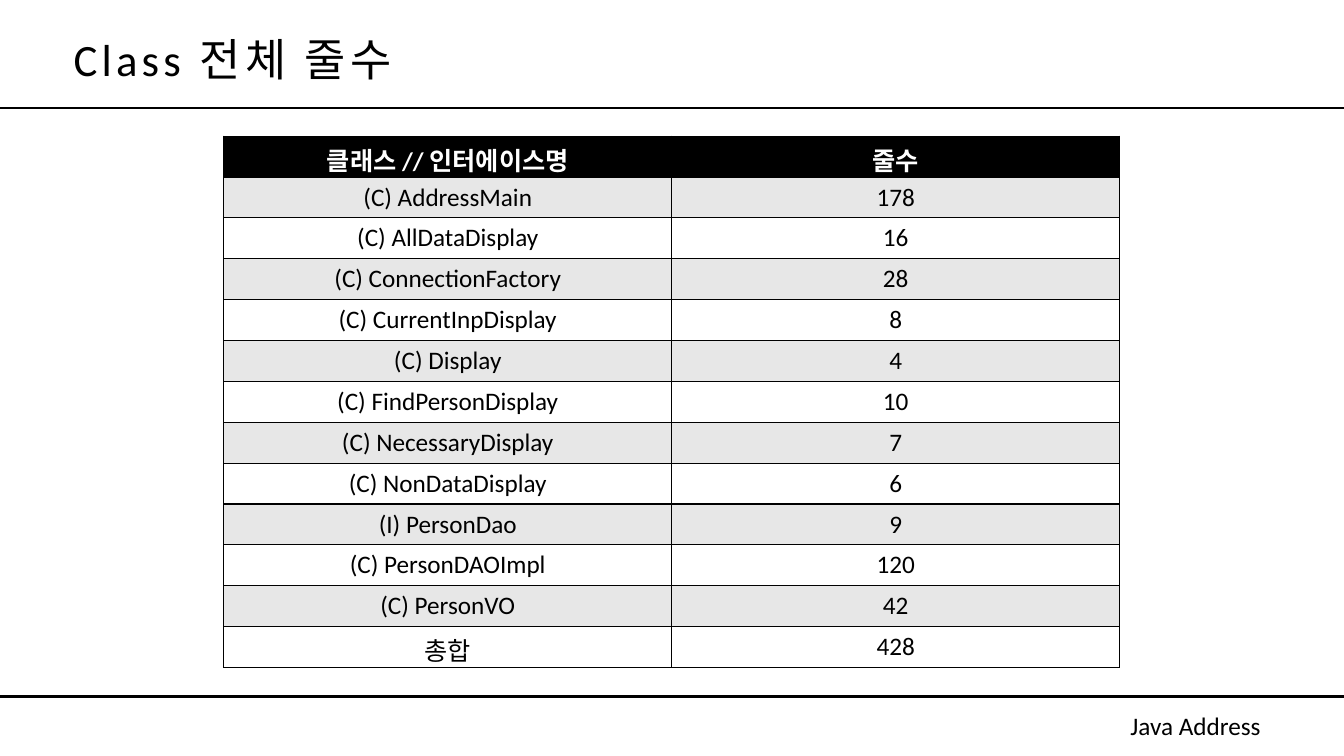
from dataclasses import dataclass

import lxml.etree
import pptx
import pptx.dml.color
import pptx.enum.shapes
import pptx.enum.text
import pptx.oxml.ns
import pptx.util

Cm = pptx.util.Cm
Pt = pptx.util.Pt
RGB = pptx.dml.color.RGBColor
ALIGN = pptx.enum.text.PP_ALIGN
qn = pptx.oxml.ns.qn


@dataclass(frozen=True)
class Theme:
    """Colours, font and type sizes of the slide."""
    font: str = "Calibri"
    ink: str = "000000"
    paper: str = "FFFFFF"
    band: str = "E7E7E7"
    title: int = 32
    body: int = 18
    rule: float = 1.5
    border: int = 1


THEME = Theme()
HEADER = ("클래스 // 인터에이스명", "줄수")
LINE_COUNTS = [
    ("(C) AddressMain", 178),
    ("(C) AllDataDisplay", 16),
    ("(C) ConnectionFactory", 28),
    ("(C) CurrentInpDisplay", 8),
    ("(C) Display", 4),
    ("(C) FindPersonDisplay", 10),
    ("(C) NecessaryDisplay", 7),
    ("(C) NonDataDisplay", 6),
    ("(I) PersonDao", 9),
    ("(C) PersonDAOImpl", 120),
    ("(C) PersonVO", 42),
]


def add_run(p, text, size, color, bold=False):
    """Add one formatted run to a paragraph and return it."""
    r = p.add_run()
    r.text = text
    r.font.name = THEME.font
    r.font.size = Pt(size)
    r.font.bold = bold
    r.font.color.rgb = RGB.from_string(color)
    return r


def add_rule(s, x, y, w):
    """Draw a horizontal rule of the given width."""
    cx = s.shapes.add_connector(
        pptx.enum.shapes.MSO_CONNECTOR.STRAIGHT, Cm(x), Cm(y), Cm(x + w), Cm(y))
    cx.line.color.rgb = RGB.from_string(THEME.ink)
    cx.line.width = Pt(THEME.rule)
    lxml.etree.SubElement(cx._element.spPr, qn("a:effectLst"))


def add_title(s, x, y, w, h, text):
    """Place the letter-spaced title in the title placeholder."""
    sp = s.shapes.title
    sp.left, sp.top, sp.width, sp.height = Cm(x), Cm(y), Cm(w), Cm(h)
    tf = sp.text_frame
    tf.word_wrap = False
    tf.auto_size = pptx.enum.text.MSO_AUTO_SIZE.SHAPE_TO_FIT_TEXT
    tf.vertical_anchor = pptx.enum.text.MSO_ANCHOR.TOP
    p = tf.paragraphs[0]
    p.alignment = ALIGN.LEFT
    r = add_run(p, text, THEME.title, THEME.ink)
    r.font._element.set("spc", "300")


def add_footer(s, x, y, w, h, text):
    """Place the project name at the foot of the slide."""
    tf = s.shapes.add_textbox(Cm(x), Cm(y), Cm(w), Cm(h)).text_frame
    tf.word_wrap = False
    add_run(tf.paragraphs[0], text, THEME.body, THEME.ink)


def add_borders(cell):
    """Outline a table cell on all four sides."""
    tc_pr = cell._tc.get_or_add_tcPr()
    for side in ("a:lnL", "a:lnR", "a:lnT", "a:lnB"):
        ln = lxml.etree.SubElement(tc_pr, qn(side), w=str(Pt(THEME.border)))
        fill = lxml.etree.SubElement(ln, qn("a:solidFill"))
        lxml.etree.SubElement(fill, qn("a:srgbClr"), val=THEME.ink)


def add_count_table(s, x, y, w, h, counts):
    """Fill the box with a banded table of line counts and their total."""
    total = sum(n for _, n in counts)
    rows = [HEADER, *counts, ("총합", total)]
    table = s.shapes.add_table(
        len(rows), len(HEADER), Cm(x), Cm(y), Cm(w), Cm(h)).table
    for i, row in enumerate(rows):
        is_header = i == 0
        fill = THEME.ink if is_header else THEME.band if i % 2 else THEME.paper
        color = THEME.paper if is_header else THEME.ink
        for j, value in enumerate(row):
            cell = table.cell(i, j)
            add_borders(cell)
            cell.fill.solid()
            cell.fill.fore_color.rgb = RGB.from_string(fill)
            p = cell.text_frame.paragraphs[0]
            p.alignment = ALIGN.CENTER
            add_run(p, str(value), THEME.body, color, is_header)


def main():
    """Build the slide and save it."""
    prs = pptx.Presentation()
    prs.slide_width, prs.slide_height = Cm(33.87), Cm(19.05)
    s = prs.slides.add_slide(prs.slide_layouts.get_by_name("Title Only"))
    for y in (2.72, 17.55):
        add_rule(s, 0, y, 33.87)
    add_title(s, 1.6, 0.66, 9.68, 1.63, "Class 전체 줄수")
    add_count_table(s, 5.64, 3.43, 22.58, 13.39, LINE_COUNTS)
    add_footer(s, 28.24, 17.78, 4.06, 1.02, "Java Address")
    prs.save("out.pptx")


if __name__ == "__main__":
    main()
